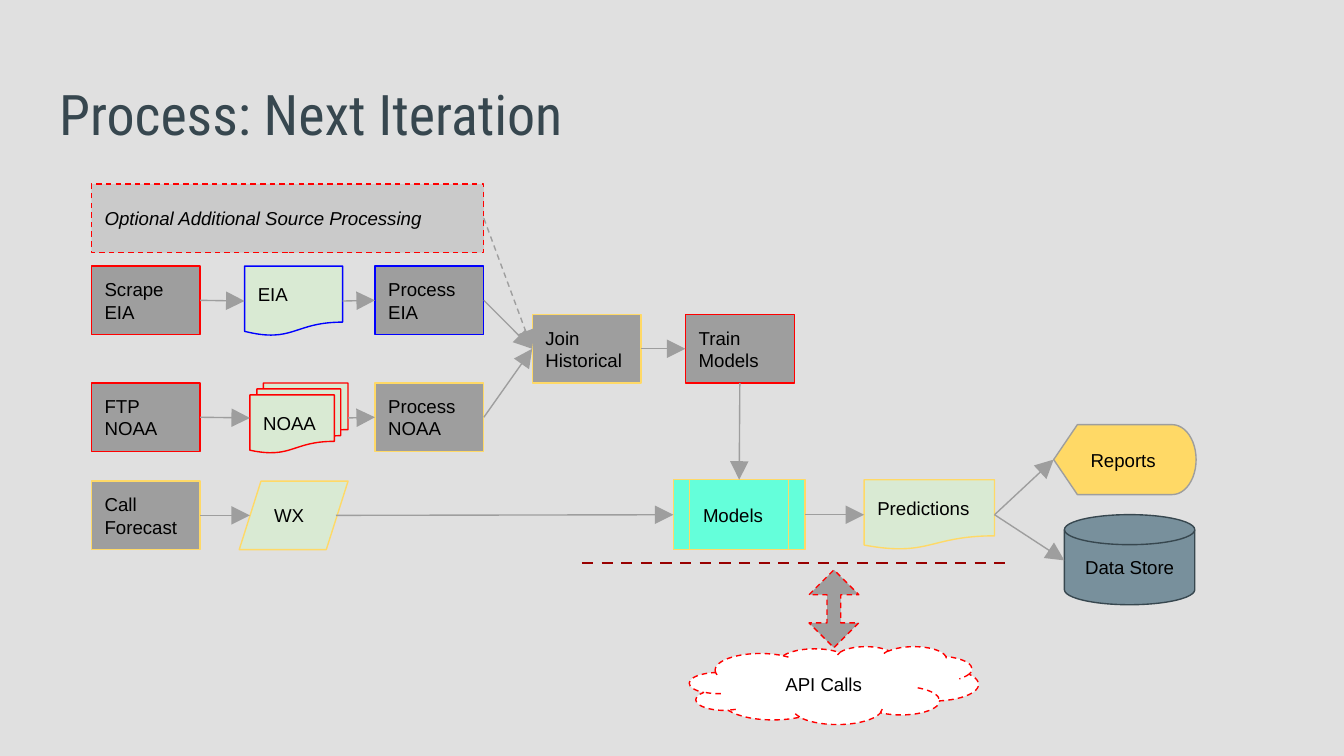
from lxml import etree
from pptx import Presentation
from pptx.dml.color import RGBColor
from pptx.enum.dml import MSO_LINE
from pptx.enum.shapes import MSO_CONNECTOR, MSO_SHAPE as Kind
from pptx.enum.text import MSO_ANCHOR as Anchor, MSO_AUTO_SIZE, PP_ALIGN as Align
from pptx.oxml.ns import qn
from pptx.util import Inches, Pt

GREY, GREEN, YELLOW = "9E9E9E", "D9EAD3", "FFD966"
RED, BLUE, SLATE = "FF0000", "0000FF", "37474F"
TOP, LEFT, BOTTOM, RIGHT = range(4)
STEP_WIDTH, STEP_HEIGHT = 0.81, 0.51


def color(value):
    return RGBColor.from_string(value)


def write_text(shape, text, size=10, font="Arial", fill="000000",
               italic=False, align=Align.LEFT, anchor=Anchor.MIDDLE):
    frame = shape.text_frame
    frame.word_wrap = True
    frame.auto_size = MSO_AUTO_SIZE.NONE
    frame.vertical_anchor = anchor
    frame.margin_left = frame.margin_right = Inches(0.1)
    frame.margin_top = frame.margin_bottom = Inches(0.1)
    frame.text = text
    paragraph = frame.paragraphs[0]
    paragraph.alignment = align
    run_font = paragraph.runs[0].font
    run_font.size, run_font.name, run_font.italic = Pt(size), font, italic
    run_font.color.rgb = color(fill)


def style_line(line, stroke, width=0.75, dashed=False):
    line.color.rgb = color(stroke)
    line.width = Pt(width)
    if dashed:
        line.dash_style = MSO_LINE.DASH


def add_node(slide, kind, box, fill, stroke, text="", dashed=False, **text_format):
    shape = slide.shapes.add_shape(kind, *map(Inches, box))
    shape.shadow.inherit = False
    shape.fill.solid()
    shape.fill.fore_color.rgb = color(fill)
    style_line(shape.line, stroke, dashed=dashed)
    if text:
        write_text(shape, text, **text_format)
    return shape


def add_step(slide, left, top, text, stroke):
    box = (left, top, STEP_WIDTH, STEP_HEIGHT)
    return add_node(slide, Kind.RECTANGLE, box, GREY, stroke, text)


def add_line(slide, start, end, stroke=GREY, width=0.75, dashed=False):
    connector = slide.shapes.add_connector(
        MSO_CONNECTOR.STRAIGHT, *map(Inches, start + end))
    style_line(connector.line, stroke, width, dashed)
    etree.SubElement(connector._element.spPr, qn("a:effectLst"))
    return connector


def add_arrow(slide, start, end, dashed=False):
    points = [(0, 0) if hasattr(item[0], "shape_id") else item for item in (start, end)]
    connector = add_line(slide, *points, dashed=dashed)
    if points[0] != start:
        connector.begin_connect(*start)
    if points[1] != end:
        connector.end_connect(*end)
    outline = connector._element.spPr.find(qn("a:ln"))
    etree.SubElement(outline, qn("a:tailEnd"), type="triangle", w="lg", len="lg")


def add_title(slide, box, text):
    title = slide.shapes.title
    title.left, title.top, title.width, title.height = map(Inches, box)
    write_text(title, text, size=30, font="Roboto Condensed", fill=SLATE,
               anchor=Anchor.TOP)


def add_sources(slide, left, top):
    optional = add_node(slide, Kind.RECTANGLE, (left, top, 2.92, STEP_HEIGHT), "CACACA", RED,
                        "Optional Additional Source Processing", dashed=True, italic=True)
    rows = [
        (0.61, "Scrape EIA", Kind.FLOWCHART_DOCUMENT, 1.14, "EIA", BLUE, "Process EIA", BLUE),
        (1.48, "FTP NOAA", Kind.FLOWCHART_MULTIDOCUMENT, 1.18, "NOAA", RED,
         "Process NOAA", YELLOW),
    ]
    processed = [optional]
    for offset, fetch_text, kind, indent, name, stroke, process_text, process_stroke in rows:
        row_top = top + offset
        fetch = add_step(slide, left, row_top, fetch_text, RED)
        data = add_node(slide, kind, (left + indent, row_top, 0.73, 0.52), GREEN, stroke, name)
        process = add_step(slide, left + 2.11, row_top, process_text, process_stroke)
        add_arrow(slide, (fetch, RIGHT), (data, LEFT))
        add_arrow(slide, (data, RIGHT), (process, LEFT))
        processed.append(process)
    return processed


def add_forecast(slide, left, top):
    middle = top + STEP_HEIGHT / 2
    call = add_step(slide, left, top, "Call Forecast", YELLOW)
    add_node(slide, Kind.FLOWCHART_DATA, (left + 1.1, top, STEP_WIDTH, STEP_HEIGHT),
             GREEN, YELLOW, "WX")
    add_arrow(slide, (call, RIGHT), (left + 1.18, middle))
    return left + 1.82, middle


def add_modelling(slide, left, top, processed, forecast):
    join = add_step(slide, left, top, "Join Historical", YELLOW)
    train = add_step(slide, left + 1.14, top, "Train Models", RED)
    models = add_node(slide, Kind.FLOWCHART_PREDEFINED_PROCESS,
                      (left + 1.05, top + 1.23, 0.98, 0.52), "64FFDA", YELLOW, "Models")
    for source in processed:
        add_arrow(slide, (source, RIGHT), (join, LEFT), dashed=source is processed[0])
    add_arrow(slide, (join, RIGHT), (train, LEFT))
    add_arrow(slide, (train, BOTTOM), (models, TOP))
    add_arrow(slide, forecast, (models, LEFT))
    return models


def add_outputs(slide, left, top, models):
    predictions = add_node(slide, Kind.FLOWCHART_DOCUMENT, (left, top + 0.41, 0.97, 0.52),
                           GREEN, YELLOW, "Predictions")
    reports = add_node(slide, Kind.FLOWCHART_DISPLAY, (left + 1.41, top, 1.06, 0.52),
                       YELLOW, GREY, "Reports")
    add_node(slide, Kind.FLOWCHART_MAGNETIC_DISK, (left + 1.49, top + 0.67, 0.97, 0.67),
             "78909C", SLATE, "Data Store", align=Align.CENTER)
    add_arrow(slide, (models, RIGHT), (predictions, LEFT))
    add_arrow(slide, (predictions, RIGHT), (reports, LEFT))
    add_arrow(slide, (predictions, RIGHT), (left + 1.49, top + 1.01))


def add_api(slide, left, top):
    add_line(slide, (left, top), (left + 3.17, top), "980000", 1.5, dashed=True)
    add_node(slide, Kind.CLOUD, (left + 0.8, top + 0.62, 2.15, 0.58), "FFFFFF", RED,
             "API Calls", dashed=True, align=Align.CENTER)
    exchange = add_node(slide, Kind.UP_DOWN_ARROW, (left + 1.69, top + 0.05, 0.37, 0.58),
                        GREY, RED, dashed=True)
    guides = exchange._element.spPr.find(qn("a:prstGeom")).find(qn("a:avLst"))
    for guide in list(guides):
        guides.remove(guide)
    for name, value in (("adj1", 27600), ("adj2", 50000)):
        etree.SubElement(guides, qn("a:gd"), name=name, fmla=f"val {value}")


def main():
    presentation = Presentation()
    presentation.slide_width = Inches(10)
    presentation.slide_height = presentation.slide_width * 9 // 16
    slide = presentation.slides.add_slide(presentation.slide_layouts[5])
    slide.background.fill.solid()
    slide.background.fill.fore_color.rgb = color("E0E0E0")
    add_title(slide, (0.34, 0.49, 5.28, 0.63), "Process: Next Iteration")
    processed = add_sources(slide, 0.68, 1.37)
    forecast = add_forecast(slide, 0.68, 3.58)
    models = add_modelling(slide, 3.96, 2.34, processed, forecast)
    add_outputs(slide, 6.43, 3.16, models)
    add_api(slide, 4.33, 4.19)
    presentation.save("out.pptx")


if __name__ == "__main__":
    main()
